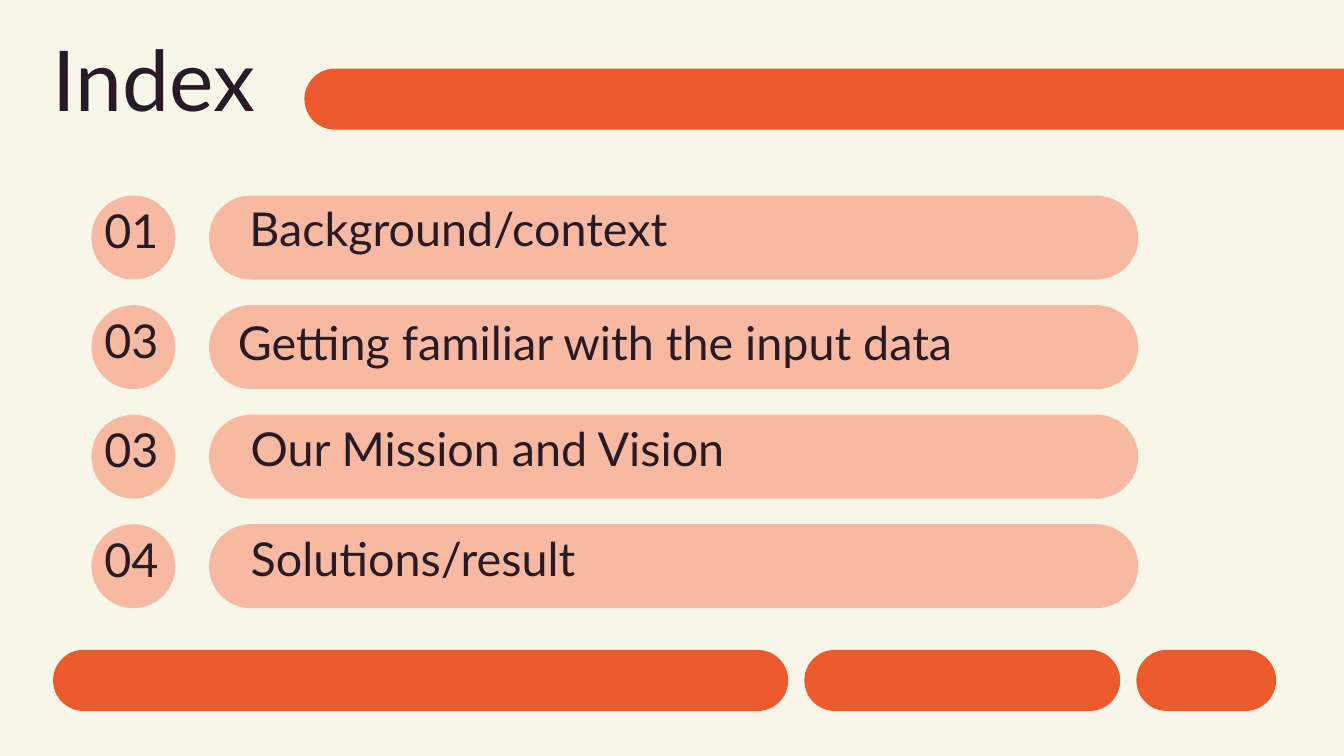
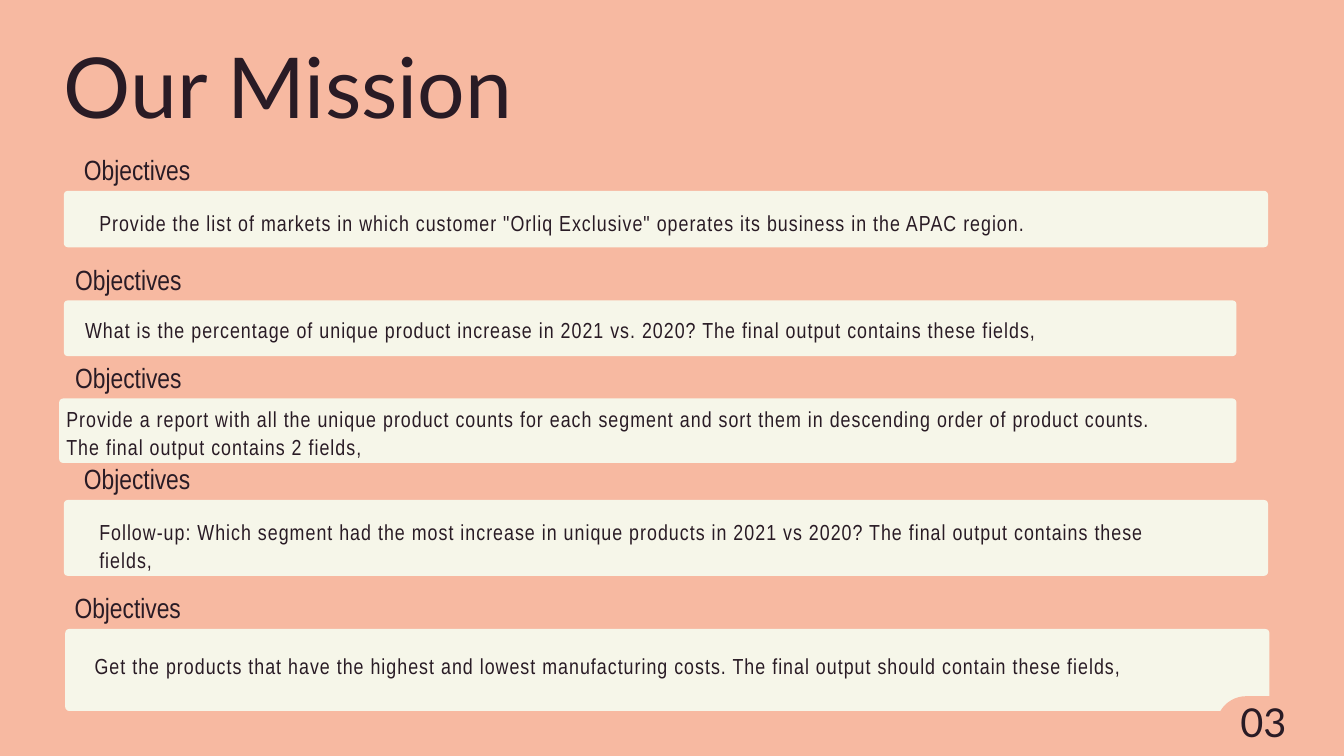
from dataclasses import dataclass

from pptx import Presentation
from pptx.dml.color import RGBColor
from pptx.enum.shapes import MSO_SHAPE as Shape
from pptx.enum.text import MSO_ANCHOR as Anchor, MSO_AUTO_SIZE as AutoSize, PP_ALIGN as Align
from pptx.oxml.ns import qn
from pptx.util import Inches, Pt


@dataclass(frozen=True)
class TextStyle:
    font: str
    size: float
    leading: float
    tracking: int = 0


@dataclass(frozen=True)
class Theme:
    cream: RGBColor = RGBColor(0xF6, 0xF6, 0xE9)
    peach: RGBColor = RGBColor(0xF7, 0xB9, 0xA1)
    orange: RGBColor = RGBColor(0xED, 0x5B, 0x2D)
    ink: RGBColor = RGBColor(0x29, 0x1B, 0x25)
    index_title: TextStyle = TextStyle("Lato", 90, 96.3)
    mission_title: TextStyle = TextStyle("Lato", 90, 108)
    entry: TextStyle = TextStyle("Lato", 50, 53.5)
    page: TextStyle = TextStyle("Lato", 42.6, 45.5)
    heading: TextStyle = TextStyle("Arial Narrow", 29.8, 38.8)
    objective: TextStyle = TextStyle("Arial Narrow", 23.3, 30.3, 110)


THEME = Theme()
PILL = 0.5
BAR_HEIGHT = 0.91
CARD_RADIUS = 0.06
HEADING_HEIGHT = 0.61

INDEX_ENTRIES = [
    ("01", "Background/context", 0.17, 0),
    ("03", "Getting familiar with the input data", 0, 1.69),
    ("03", "Our Mission and Vision", 0.19, 1.58),
    ("04", "Solutions/result", 0.19, 1.63),
]

OBJECTIVES = [
    ((0.95, 2.84, 17.92, 0.84), 1.25, (0.51, 0.23),
     'Provide the list of markets in which customer "Orliq Exclusive" operates '
     "its business in the APAC region."),
    ((0.95, 4.47, 17.45, 0.83), 1.12, (0.3, 0.2),
     "What is the percentage of unique product increase in 2021 vs. 2020? "
     "The final output contains these fields,"),
    ((0.88, 5.93, 17.52, 0.96), 1.12, (0.09, 0.06),
     "Provide a report with all the unique product counts for each segment and "
     "sort them in descending order of product counts. "
     "The final output contains 2 fields,"),
    ((0.95, 7.44, 17.92, 1.13), 1.25, (0.51, 0.23),
     "Follow-up: Which segment had the most increase in unique products in 2021 "
     "vs 2020? The final output contains these fields,"),
    ((0.97, 9.36, 17.92, 1.22), 1.11, (0.42, 0.31),
     "Get the products that have the highest and lowest manufacturing costs. "
     "The final output should contain these fields,"),
]


def inches(box):
    return [Inches(length) for length in box]


def place(placeholder, box):
    placeholder.left, placeholder.top, placeholder.width, placeholder.height = inches(box)


def set_frame(frame, insets=(0, 0, 0, 0), anchor=Anchor.TOP, wrap=True):
    frame.auto_size = AutoSize.NONE
    frame.word_wrap = wrap
    frame.vertical_anchor = anchor
    (frame.margin_left, frame.margin_top,
     frame.margin_right, frame.margin_bottom) = inches(insets)


def write(paragraph, text, style, align=Align.LEFT):
    paragraph.alignment = align
    paragraph.line_spacing = Pt(style.leading)
    paragraph.space_before = paragraph.space_after = Pt(0)
    run = paragraph.add_run()
    run.text = text
    run.font.name = style.font
    run.font.size = Pt(style.size)
    run.font.color.rgb = THEME.ink
    if style.tracking:
        run.font._element.set("spc", str(style.tracking))


def add_panel(slide, kind, box, color, corner=None):
    panel = slide.shapes.add_shape(kind, *inches(box))
    panel.shadow.inherit = False
    panel.fill.solid()
    panel.fill.fore_color.rgb = color
    panel.line.fill.background()
    if corner is not None:
        panel.adjustments[0] = corner
    return panel


def add_number(panel, number, style, right, bottom):
    set_frame(panel.text_frame, (0, 0, right, bottom), Anchor.MIDDLE, wrap=False)
    write(panel.text_frame.paragraphs[0], number, style, Align.CENTER)


def new_slide(deck, layout, background, title, title_box, title_style):
    slide = deck.slides.add_slide(deck.slide_layouts[layout])
    slide.background.fill.solid()
    slide.background.fill.fore_color.rgb = background
    place(slide.shapes.title, title_box)
    set_frame(slide.shapes.title.text_frame)
    write(slide.shapes.title.text_frame.paragraphs[0], title, title_style)
    return slide


def add_bars(slide, left, top, widths, gap=0.24):
    for width in widths:
        add_panel(slide, Shape.ROUNDED_RECTANGLE, (left, top, width, BAR_HEIGHT),
                  THEME.orange, PILL)
        left += width + gap


def add_index_rows(slide, left, top, row_height=1.25, pitch=1.63):
    for row, (number, *_) in enumerate(INDEX_ENTRIES):
        row_top = top + row * pitch
        badge = add_panel(slide, Shape.OVAL, (left, row_top, row_height, row_height),
                          THEME.peach)
        add_number(badge, number, THEME.entry, 0.06, 0.13)
        add_panel(slide, Shape.ROUNDED_RECTANGLE,
                  (left + 1.75, row_top, 13.83, row_height), THEME.peach, PILL)


def fill_index_list(slide, box):
    entries = slide.placeholders[1]
    place(entries, box)
    frame = entries.text_frame
    set_frame(frame)
    for row, (_, label, indent, step) in enumerate(INDEX_ENTRIES):
        paragraph = frame.add_paragraph() if row else frame.paragraphs[0]
        write(paragraph, label, THEME.entry)
        if row:
            paragraph.space_before = Pt(step * 72 - THEME.entry.leading)
        properties = paragraph._p.get_or_add_pPr()
        properties.set("marL", str(Inches(indent)))
        properties.set("indent", "0")
        properties.append(properties.makeelement(qn("a:buNone"), {}))
    tree = slide.shapes._spTree
    tree.remove(entries._element)
    tree.append(entries._element)


def add_objective(slide, box, heading_left, text_offset, objective):
    left, top, width, height = box
    heading = slide.shapes.add_textbox(
        *inches((heading_left, top - HEADING_HEIGHT, 7.8, HEADING_HEIGHT)))
    set_frame(heading.text_frame)
    write(heading.text_frame.paragraphs[0], "Objectives", THEME.heading)

    card = add_panel(slide, Shape.ROUNDED_RECTANGLE, box, THEME.cream, CARD_RADIUS / height)
    set_frame(card.text_frame, (*text_offset, 1.13, 0))
    write(card.text_frame.paragraphs[0], objective, THEME.objective)


def add_page_tab(slide, box, number):
    tab = add_panel(slide, Shape.ROUNDED_RECTANGLE, box, THEME.peach, PILL)
    add_number(tab, number, THEME.page, 0.03, 0.05)


def build_index(deck):
    slide = new_slide(deck, 1, THEME.cream, "Index", (0.78, 0.57, 3.5, 1.65),
                      THEME.index_title)
    add_bars(slide, 4.53, 1.02, [16.39])
    add_index_rows(slide, 1.36, 2.91)
    fill_index_list(slide, (3.54, 3.07, 13.1, 5.81))
    add_bars(slide, 0.79, 9.67, [10.94, 4.7, 2.08])


def build_mission(deck):
    slide = new_slide(deck, 5, THEME.peach, "Our Mission", (0.95, 0.51, 9.71, 1.78),
                      THEME.mission_title)
    for objective in OBJECTIVES:
        add_objective(slide, *objective)
    add_page_tab(slide, (18.1, 10.36, 1.43, 0.89), "03")


def main():
    deck = Presentation()
    deck.slide_width, deck.slide_height = Inches(20), Inches(11.25)
    build_index(deck)
    build_mission(deck)
    deck.save("out.pptx")


if __name__ == "__main__":
    main()
